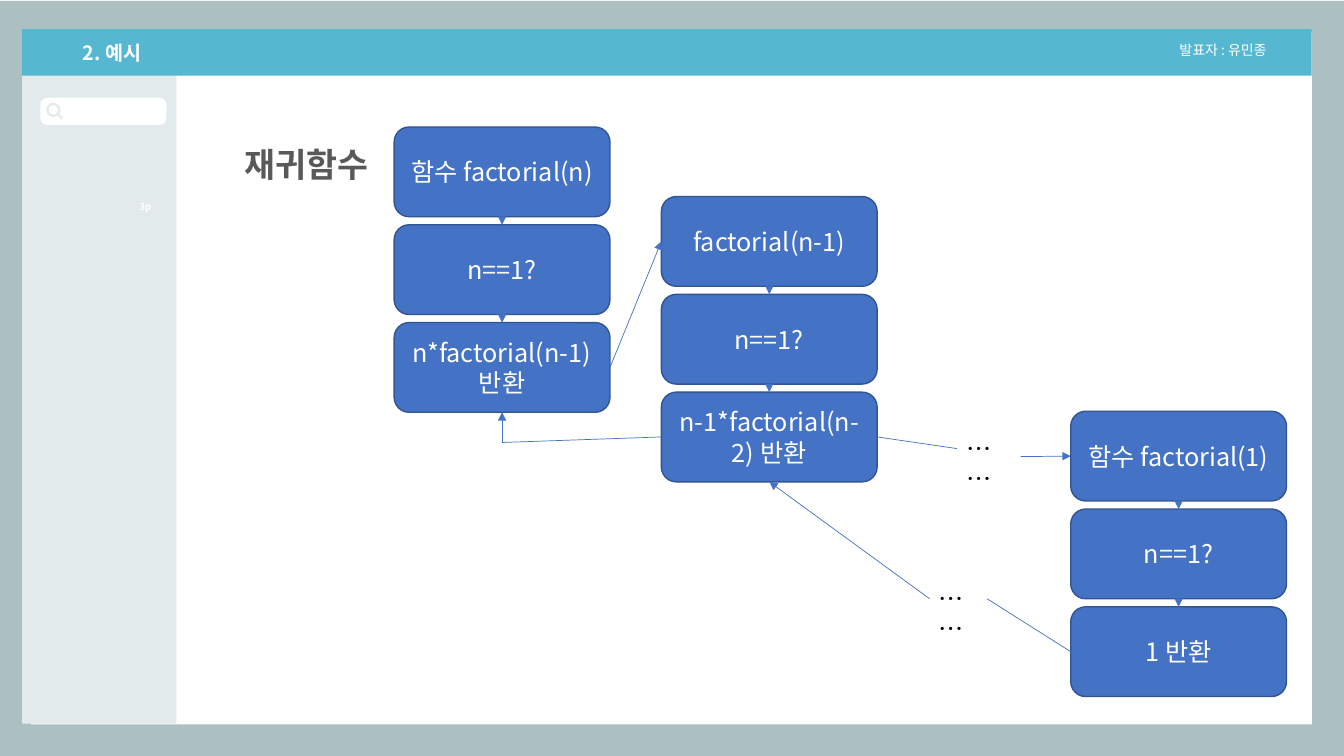
from lxml.etree import SubElement
from pptx import Presentation
from pptx.dml.color import RGBColor
from pptx.enum.shapes import MSO_CONNECTOR, MSO_SHAPE
from pptx.enum.text import MSO_ANCHOR, PP_ALIGN
from pptx.oxml.ns import qn
from pptx.util import Pt

# Content: lengths in px, 100 to the inch
SLIDE_SIZE = (1333, 750)
TITLE = ("재귀함수", (233, 118, 1024, 64))
SECTION = "2. 예시"
LABELS = [  # text, box, style
    ("발표자 : 유민종", (1160, 36, 117, 27), "presenter"),
    ("3p", (100, 194, 60, 24), "page"),
    ("……", (949, 425, 58, 40), "dots"),
    ("……", (921, 574, 58, 40), "dots"),
]
CALLS = [  # left, top, steps of one call
    (391, 126, ["함수 factorial(n)", "n==1?", "n*factorial(n-1) 반환"]),
    (656, 195, ["factorial(n-1)", "n==1?", "n-1*factorial(n-2) 반환"]),
    (1062, 408, ["함수 factorial(1)", "n==1?", "1 반환"]),
]
STEP_WIDTH, STEP_HEIGHT, STEP_PITCH = 214, 89, 97
SITES = {"top": 0, "left": 1, "bottom": 2, "right": 3}
RETURN_CORNER = (498, 439)
LINKS = [  # start, end, arrow; an end is a point or (call, step, side)
    ((0, 2, "right"), (1, 0, "left"), True),
    ((1, 2, "left"), RETURN_CORNER, False),
    (RETURN_CORNER, (0, 2, "bottom"), True),
    ((1, 2, "right"), (949, 445), False),
    ((1012, 453), (2, 0, "left"), True),
    ((2, 2, "left"), (979, 594), False),
    ((922, 594), (1, 2, "bottom"), True),
]

# Theme
THEME = {
    "colors": {"frame": "ACC0C1", "panel": "E2EAEC", "bar": "55B7D0", "white": "FFFFFF",
               "step": "4472C4", "outline": "325491", "title": "595959", "black": "000000"},
    "east_asian": "Noto Sans CJK KR",
    "text": {
        "title": {"size": Pt(24), "bold": True, "name": "Arial", "color": "title"},
        "section": {"size": Pt(14), "bold": True, "color": "white"},
        "presenter": {"size": Pt(10), "color": "white"},
        "page": {"size": Pt(7), "bold": True, "color": "white"},
        "step": {"size": Pt(18), "color": "white"},
        "dots": {"size": Pt(18), "color": "black"},
    },
    "align": {"page": PP_ALIGN.RIGHT, "step": PP_ALIGN.CENTER},
}
# Background: preset, box, color, first adjustment, rotation
BACKDROP = {
    "frame": (MSO_SHAPE.FRAME, (-1, 1, 1334, 749), "frame", 0.042, 0),
    "sidebar": (MSO_SHAPE.RECTANGLE, (22, 73, 153, 645), "panel", None, 0),
    "header": (MSO_SHAPE.RECTANGLE, (22, 29, 1279, 46), "bar", None, 0),
    "search": (MSO_SHAPE.ROUNDED_RECTANGLE, (40, 97, 125, 27), "white", 0.25, 0),
    "lens": (MSO_SHAPE.DONUT, (46, 102, 14, 14), "panel", 0.16, 0),
    "handle": (MSO_SHAPE.ROUNDED_RECTANGLE, (55, 114, 8, 2), "panel", 0.25, 45),
}


def px(*lengths):
    return [length * 9144 for length in lengths]


def color(name):
    return RGBColor.from_string(THEME["colors"][name])


def write(shape, text, style):
    paragraph = shape.text_frame.paragraphs[0]
    paragraph.alignment = THEME["align"].get(style, PP_ALIGN.LEFT)
    run = paragraph.add_run()
    run.text = text
    for key, value in ({"name": THEME["east_asian"]} | THEME["text"][style]).items():
        if key == "color":
            run.font.color.rgb = color(value)
        else:
            setattr(run.font, key, value)
    SubElement(run.font._element, qn("a:ea"), typeface=THEME["east_asian"])
    return paragraph


def add_block(slide, preset, box, fill, outline=None):
    shape = slide.shapes.add_shape(preset, *px(*box))
    shape.shadow.inherit = False
    shape.fill.solid()
    shape.fill.fore_color.rgb = color(fill)
    if outline:
        shape.line.color.rgb = color(outline)
        shape.line.width = Pt(1)
    else:
        shape.line.fill.background()
    return shape


def add_link(slide, steps, start, end, arrow):
    points = [site if len(site) == 2 else (0, 0) for site in (start, end)]
    line = slide.shapes.add_connector(MSO_CONNECTOR.STRAIGHT, *px(*points[0], *points[1]))
    for site, connect in ((start, line.begin_connect), (end, line.end_connect)):
        if len(site) == 3:
            call, step, side = site
            connect(steps[call, step], SITES[side])
    line.line.color.rgb = color("step")
    line.line.width = Pt(0.5)
    if arrow:
        SubElement(line.line._get_or_add_ln(), qn("a:tailEnd"), type="triangle")
    SubElement(line._element.spPr, qn("a:effectLst"))


def main():
    presentation = Presentation()
    presentation.slide_width, presentation.slide_height = px(*SLIDE_SIZE)
    slide = presentation.slides.add_slide(presentation.slide_layouts[5])

    # Title
    text, box = TITLE
    title = slide.shapes.title
    title.left, title.top, title.width, title.height = px(*box)
    title.text_frame.vertical_anchor = MSO_ANCHOR.TOP
    write(title, text, "title").line_spacing = 1.5

    # Frame, sidebar, header and search field
    backdrop = {}
    for name, (preset, box, fill, adjustment, rotation) in BACKDROP.items():
        backdrop[name] = shape = add_block(slide, preset, box, fill)
        shape.rotation = rotation
        if adjustment is not None:
            shape.adjustments[0] = adjustment
    header = backdrop["header"]
    header.text_frame.margin_left = px(60)[0]
    write(header, SECTION, "section")

    # Calls, each a stack of steps
    steps = {}
    for call, (left, top, texts) in enumerate(CALLS):
        for row, text in enumerate(texts):
            box = (left, top + row * STEP_PITCH, STEP_WIDTH, STEP_HEIGHT)
            shape = add_block(slide, MSO_SHAPE.ROUNDED_RECTANGLE, box, "step", "outline")
            shape.text_frame.word_wrap = True
            write(shape, text, "step")
            steps[call, row] = shape

    # Arrows down each stack, then links between calls
    down = [((call, row - 1, "bottom"), (call, row, "top"), True)
            for call, row in steps if row]
    for start, end, arrow in down + LINKS:
        add_link(slide, steps, start, end, arrow)

    # Loose labels
    for text, box, style in LABELS:
        label = slide.shapes.add_textbox(*px(*box))
        label.text_frame.word_wrap = style != "presenter"
        write(label, text, style)

    presentation.save("out.pptx")


if __name__ == "__main__":
    main()
